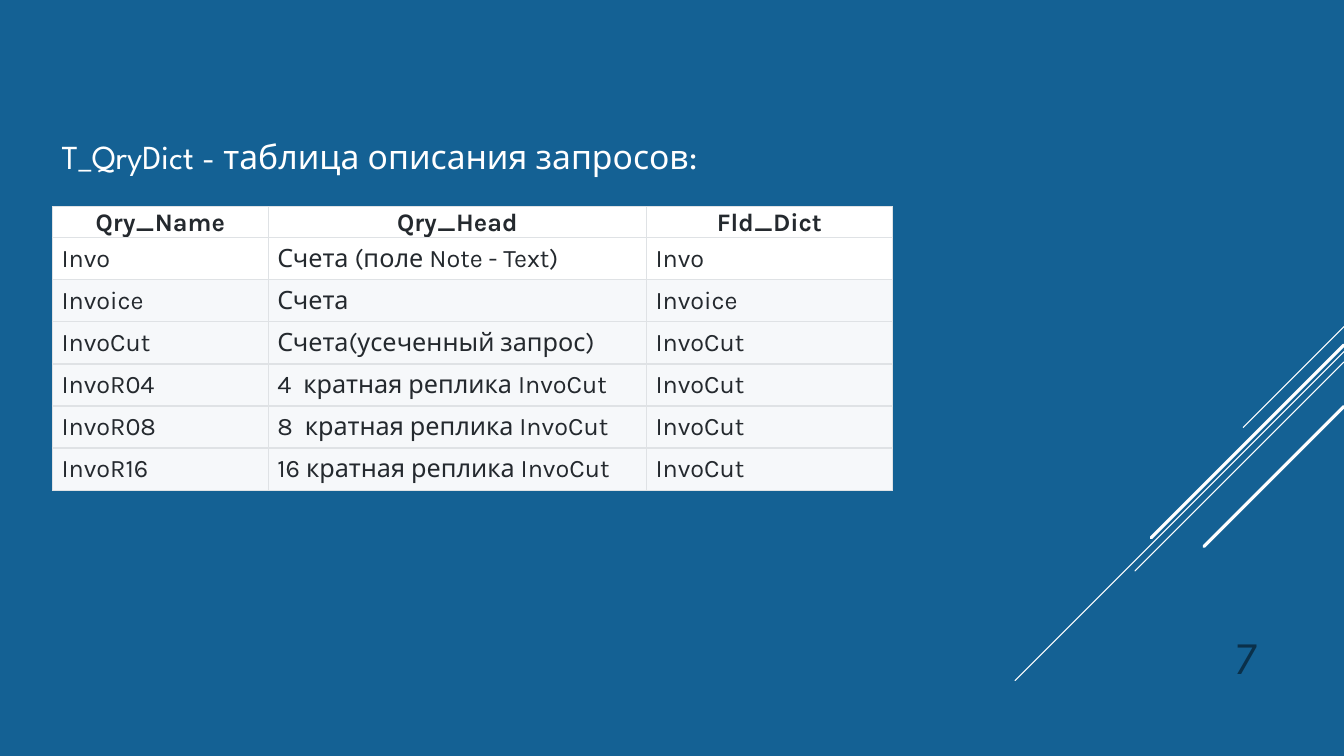
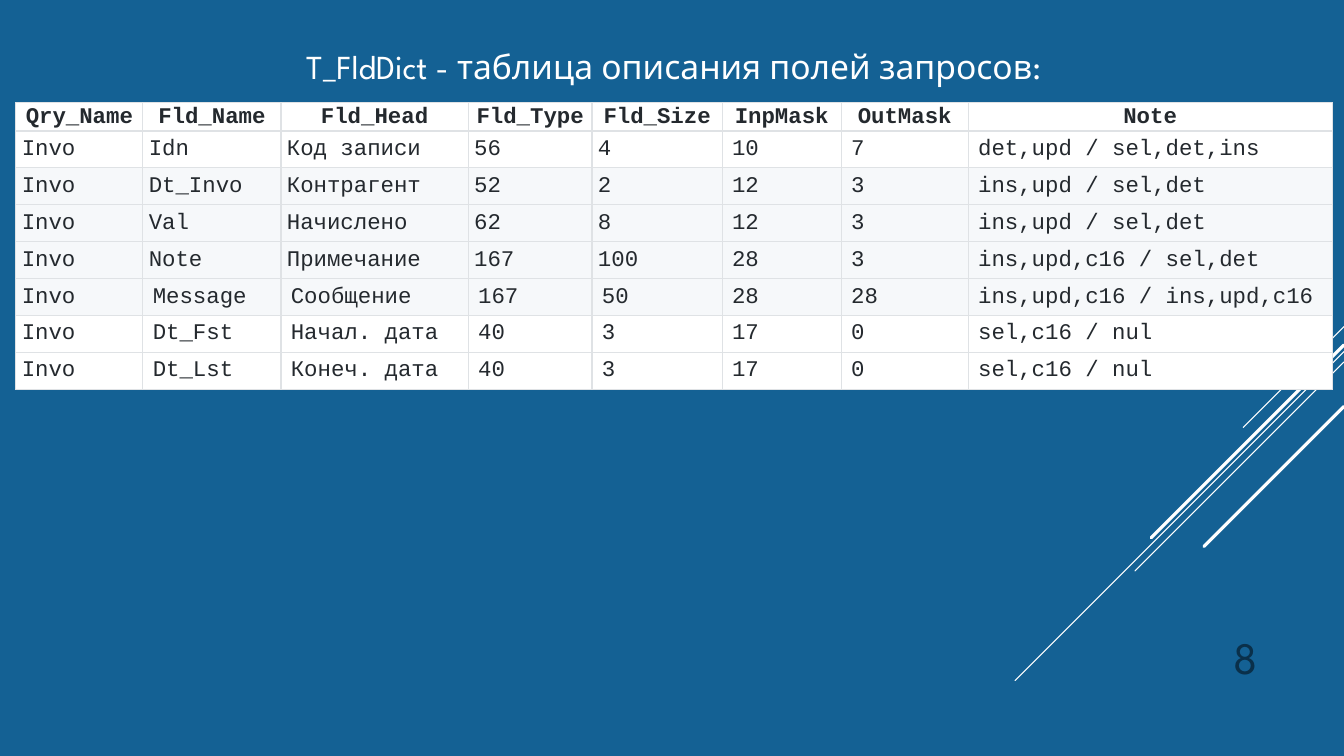
from lxml.etree import SubElement
from pptx import Presentation
from pptx.dml.color import RGBColor
from pptx.enum.shapes import MSO_CONNECTOR
from pptx.enum.text import MSO_ANCHOR, MSO_AUTO_SIZE, PP_ALIGN
from pptx.oxml import parse_xml
from pptx.oxml.ns import nsdecls, qn
from pptx.util import Cm, Pt

BLUE, NAVY, WHITE = "146194", "0A304A", "FFFFFF"
PALE, INK, RULE = "F6F8FA", "24292E", "DFE2E5"
TITLE_FONT = "League Spartan"
SLIDE_WIDTH = 33.87
DEFAULT_INSETS = (0.25, 0.13, 0.25, 0.13)
HEADER_INSETS = (0.03, 0.03, 0.03, 0)
RAYS = [
    (8.23, 2.54, 0.75),
    (8.86, 8.29, 0.75),
    (9.12, 5.27, 0.75),
    (8.69, 4.86, 2.25),
    (10.24, 3.53, 2.25),
]

PAGES = [
    {
        "number": "7",
        "title": "T_QryDict - таблица описания запросов:",
        "title_box": (1.3, 3.3, 26.47, 1.27),
        "title_align": PP_ALIGN.LEFT,
        "origin": (1.32, 5.21),
        "font": ("Karla", 18),
        "widths": [5.44, 9.53, 6.2],
        "heights": (0.78, 1.06),
        "insets": (0.23, 0.15, 0.03, 0.15),
        "inset_columns": [3] * 6,
        "shaded": range(2, 7),
        "rows": [
            ["Qry_Name", "Qry_Head", "Fld_Dict"],
            ["Invo", "Счета (поле Note - Text)", "Invo"],
            ["Invoice", "Счета", "Invoice"],
            ["InvoCut", "Счета(усеченный запрос)", "InvoCut"],
            ["InvoR04", "4  кратная реплика InvoCut", "InvoCut"],
            ["InvoR08", "8  кратная реплика InvoCut", "InvoCut"],
            ["InvoR16", "16 кратная реплика InvoCut", "InvoCut"],
        ],
    },
    {
        "number": "8",
        "title": "T_FldDict - таблица описания полей запросов:",
        "title_box": (1.75, 1.04, 30.45, 1.27),
        "title_align": PP_ALIGN.CENTER,
        "origin": (0.4, 2.59),
        "font": ("Courier New", 16),
        "widths": [3.2, 3.48, 4.72, 3.12, 3.28, 3, 3.2, 9.17],
        "heights": (0.71, 0.93),
        "insets": (0.15, 0.1, 0.03, 0.1),
        "inset_columns": [5] * 4 + [1] * 3,
        "shaded": range(2, 6),
        "rows": [
            ["Qry_Name", "Fld_Name", "Fld_Head", "Fld_Type", "Fld_Size", "InpMask", "OutMask", "Note"],
            ["Invo", "Idn", "Код записи", "56", "4", "10", "7", "det,upd / sel,det,ins"],
            ["Invo", "Dt_Invo", "Контрагент", "52", "2", "12", "3", "ins,upd / sel,det"],
            ["Invo", "Val", "Начислено", "62", "8", "12", "3", "ins,upd / sel,det"],
            ["Invo", "Note", "Примечание", "167", "100", "28", "3", "ins,upd,c16 / sel,det"],
            ["Invo", "Message", "Сообщение", "167", "50", "28", "28", "ins,upd,c16 / ins,upd,c16"],
            ["Invo", "Dt_Fst", "Начал. дата", "40", "3", "17", "0", "sel,c16 / nul"],
            ["Invo", "Dt_Lst", "Конеч. дата", "40", "3", "17", "0", "sel,c16 / nul"],
        ],
    },
]


def color(value):
    return RGBColor.from_string(value)


def write(frame, text, font, size, ink, align, bold=False):
    frame.text = text
    paragraph = frame.paragraphs[0]
    paragraph.alignment = align
    run = paragraph.runs[0]
    run.font.name = font
    run.font.size = Pt(size)
    run.font.bold = bold
    run.font.color.rgb = color(ink)


prs = Presentation()
prs.slide_width, prs.slide_height = Cm(SLIDE_WIDTH), Cm(19.05)
backdrop = prs.slide_master.background.fill
backdrop.solid()
backdrop.fore_color.rgb = color(BLUE)

for page in PAGES:
    slide = prs.slides.add_slide(prs.slide_layouts[5])

    for top, span, weight in RAYS:
        ray = slide.shapes.add_connector(
            MSO_CONNECTOR.STRAIGHT,
            Cm(SLIDE_WIDTH), Cm(top), Cm(SLIDE_WIDTH - span), Cm(top + span),
        )
        ray.line.color.rgb = color(WHITE)
        ray.line.width = Pt(weight)
        ray.element.spPr.get_or_add_ln().set("cap", "rnd")
        SubElement(ray.element.spPr, qn("a:effectLst"))

    title = slide.shapes.title
    title.left, title.top, title.width, title.height = map(Cm, page["title_box"])
    title.text_frame.auto_size = MSO_AUTO_SIZE.NONE
    title.text_frame.vertical_anchor = MSO_ANCHOR.TOP
    write(title.text_frame, page["title"], TITLE_FONT, 24, WHITE, page["title_align"])

    rows, widths = page["rows"], page["widths"]
    header_height, row_height = page["heights"]
    left, top = page["origin"]
    table = slide.shapes.add_table(
        len(rows), len(widths), Cm(left), Cm(top),
        Cm(sum(widths)), Cm(header_height + row_height * (len(rows) - 1)),
    ).table
    table.first_row = table.horz_banding = False
    for column, width in zip(table.columns, widths):
        column.width = Cm(width)

    for r, values in enumerate(rows):
        is_header = r == 0
        table.rows[r].height = Cm(header_height if is_header else row_height)
        for c, value in enumerate(values):
            cell = table.cell(r, c)
            if is_header:
                insets = HEADER_INSETS
            elif c < page["inset_columns"][r - 1]:
                insets = page["insets"]
            else:
                insets = DEFAULT_INSETS
            cell.margin_left, cell.margin_top, cell.margin_right, cell.margin_bottom = map(Cm, insets)
            cell.vertical_anchor = MSO_ANCHOR.MIDDLE
            cell.fill.solid()
            cell.fill.fore_color.rgb = color(PALE if r in page["shaded"] else WHITE)
            align = PP_ALIGN.CENTER if is_header else PP_ALIGN.LEFT
            write(cell.text_frame, value, *page["font"], INK, align, is_header)
            properties = cell._tc.get_or_add_tcPr()
            for position, side in enumerate(("lnL", "lnR", "lnT", "lnB")):
                properties.insert(position, parse_xml(
                    f'<a:{side} {nsdecls("a")} w="{Pt(1)}"><a:solidFill>'
                    f'<a:srgbClr val="{RULE}"/></a:solidFill></a:{side}>'
                ))

    page_number = slide.shapes.add_textbox(Cm(28.78), Cm(15.49), Cm(3.18), Cm(1.85)).text_frame
    page_number.word_wrap = True
    page_number.vertical_anchor = MSO_ANCHOR.BOTTOM
    write(page_number, page["number"], TITLE_FONT, 32, NAVY, PP_ALIGN.RIGHT)

prs.save("out.pptx")
